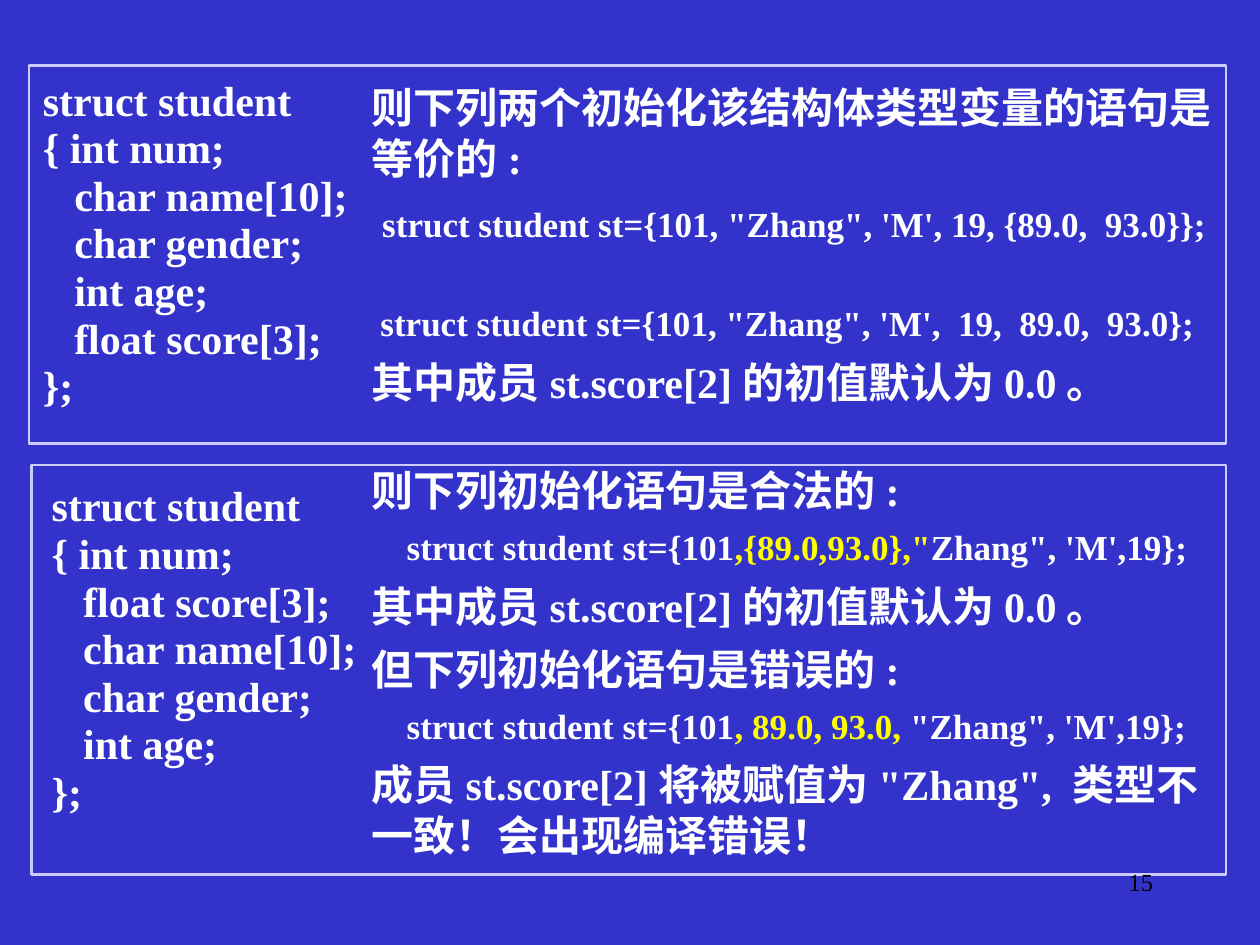
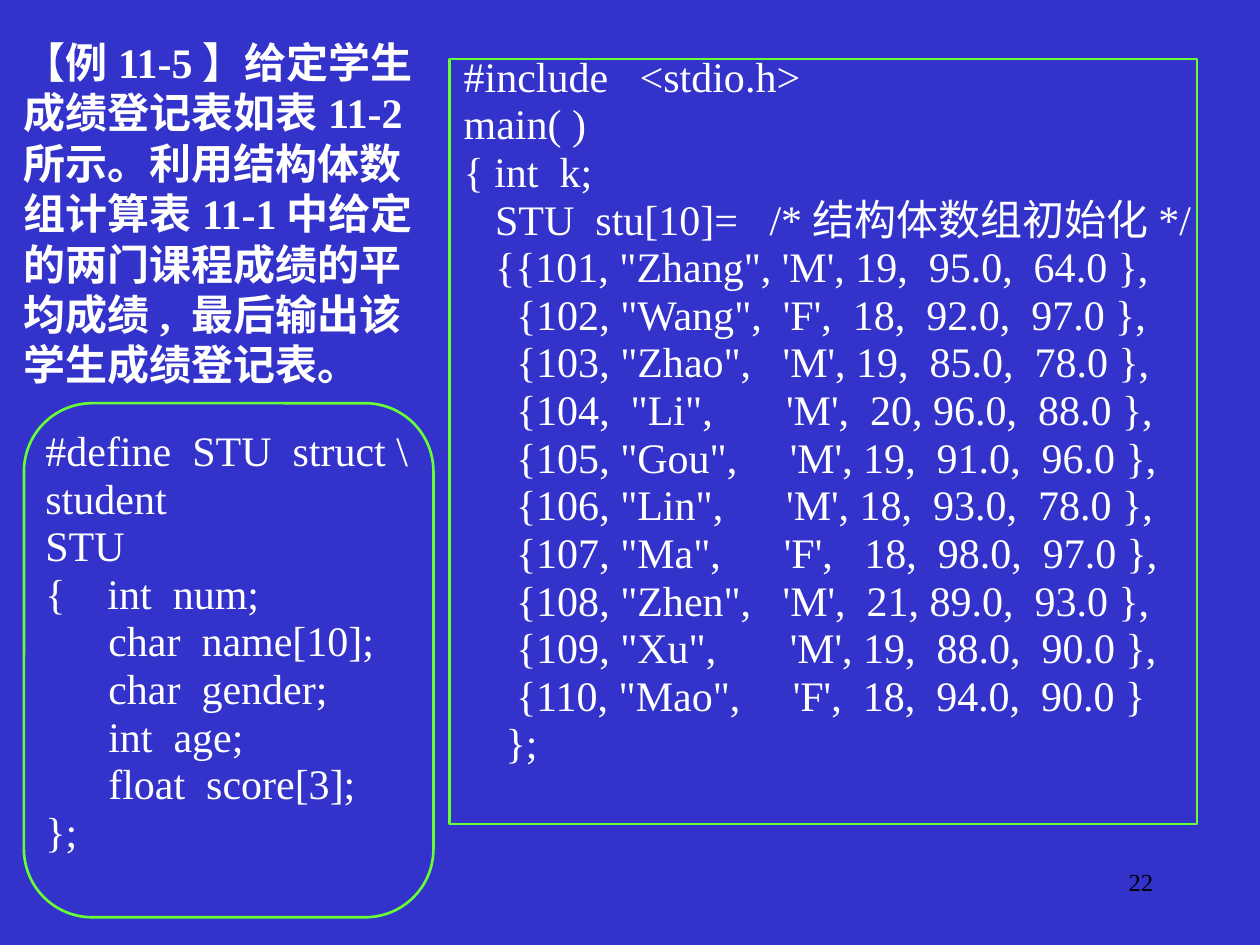
"""Builds two slides on initialising C structures and structure arrays."""
from dataclasses import dataclass

import pptx
import pptx.dml.color
import pptx.enum.shapes
import pptx.enum.text
import pptx.util

Inches = pptx.util.Inches
Pt = pptx.util.Pt
RGB = pptx.dml.color.RGBColor.from_string
MsoShape = pptx.enum.shapes.MSO_SHAPE
Align = pptx.enum.text.PP_ALIGN


@dataclass(frozen=True)
class Theme:
    font: str = "Times New Roman"
    background: str = "3333CC"
    text: str = "FFFFFF"
    highlight: str = "FFFF00"
    pale_frame: str = "CCCCFF"
    green_frame: str = "66FF33"
    number: str = "000000"
    body_size: int = 24
    statement_size: int = 20
    number_size: int = 14
    code_leading: int = 20
    frame_width: float = 1.5
    space_share: float = 0.3


class Deck:
    def __init__(self, theme):
        self.theme = theme
        self.presentation = pptx.Presentation()
        self.presentation.slide_width = Inches(10)
        self.presentation.slide_height = Inches(7.5)
        fill = self.presentation.slide_master.background.fill
        fill.solid()
        fill.fore_color.rgb = RGB(theme.background)
        self.slide = None

    def new_slide(self):
        blank = self.presentation.slide_layouts[6]
        self.slide = self.presentation.slides.add_slide(blank)

    def text_frame(self, place):
        box = self.slide.shapes.add_textbox(*map(Inches, place))
        box.text_frame.word_wrap = True
        return box.text_frame

    def run(self, paragraph, text, size, color=None, bold=False):
        run = paragraph.add_run()
        run.text = text
        run.font.name = self.theme.font
        run.font.size = Pt(size)
        run.font.bold = bold
        run.font.color.rgb = RGB(color or self.theme.text)

    def paragraphs(self, place, entries, bold=False, leading=None):
        frame = self.text_frame(place)
        frame.margin_left = frame.margin_right = Inches(0.04)
        frame.margin_top = frame.margin_bottom = 0
        for index, (runs, extra_space) in enumerate(entries):
            paragraph = frame.add_paragraph() if index else frame.paragraphs[0]
            size = runs[0][1]
            space = size * self.theme.space_share + extra_space
            paragraph.space_before = Pt(space if index else 0)
            if leading:
                paragraph.line_spacing = Pt(leading)
            for text, run_size, color in runs:
                self.run(paragraph, text, run_size, color, bold)

    def code(self, place, lines, bold=False):
        size = self.theme.body_size
        entries = [([(line, size, None)], 0) for line in lines]
        self.paragraphs(place, entries, bold, self.theme.code_leading)

    def prose(self, text):
        return [(text, self.theme.body_size, None)], 0

    def statement(self, before, marked="", after="", extra_space=0):
        parts = (before, None), (marked, self.theme.highlight), (after, None)
        size = self.theme.statement_size
        return [(text, size, color) for text, color in parts if text], extra_space

    def frame(self, place, color, shape=MsoShape.RECTANGLE):
        outline = self.slide.shapes.add_shape(shape, *map(Inches, place))
        outline.shadow.inherit = False
        outline.fill.background()
        outline.line.color.rgb = RGB(color)
        outline.line.width = Pt(self.theme.frame_width)

    def page_number(self, number):
        paragraph = self.text_frame((7.17, 6.83, 2.08, 0.5)).paragraphs[0]
        paragraph.alignment = Align.RIGHT
        self.run(paragraph, str(number), self.theme.number_size, self.theme.number)

    def save(self):
        self.presentation.save("out.pptx")


def struct_lines(members):
    first, *others = members
    return ["struct student", "{ " + first, *("   " + other for other in others), "};"]


def initialisation_slide(deck):
    theme = deck.theme
    number, name, gender, age, score = (
        "int num;", "char name[10];", "char gender;", "int age;", "float score[3];")
    default_value = deck.prose("其中成员st.score[2]的初值默认为0.0。")
    deck.new_slide()
    deck.code((0.3, 0.71, 2.83, 2.69),
              struct_lines([number, name, gender, age, score]), bold=True)
    nested_runs, _ = deck.statement(
        "struct student st={101, \"Zhang\", 'M', 19, {89.0,  93.0}};")
    deck.paragraphs((2.91, 0.65, 6.89, 2.3), [
        deck.prose("则下列两个初始化该结构体类型变量的语句是等价的:"),
        ([(" ", theme.body_size, None), *nested_runs], 0),
        deck.statement(" struct student st={101, \"Zhang\", 'M',  19,  89.0,  93.0};",
                       extra_space=26),
        default_value,
    ], bold=True)
    deck.code((0.37, 3.93, 2.58, 2.7),
              struct_lines([number, score, name, gender, age]), bold=True)
    opening = "    struct student st={101"
    deck.paragraphs((2.91, 3.69, 6.67, 3.26), [
        deck.prose("则下列初始化语句是合法的:"),
        deck.statement(opening, ",{89.0,93.0},\"", "Zhang\", 'M',19};"),
        default_value,
        deck.prose("但下列初始化语句是错误的:"),
        deck.statement(opening, ", 89.0, 93.0, ", "\"Zhang\", 'M',19};"),
        deck.prose("成员st.score[2]将被赋值为\"Zhang\", 类型不一致！会出现编译错误！"),
    ], bold=True)
    deck.frame((0.23, 0.52, 9.5, 3), theme.pale_frame)
    deck.frame((0.25, 3.69, 9.48, 3.25), theme.pale_frame)
    deck.page_number(15)


def array_slide(deck):
    theme = deck.theme
    deck.new_slide()
    deck.code((0.32, 3.49, 3.15, 3.49), [
        "#define  STU  struct \\",
        "student",
        "STU",
        "{    int  num;",
        "      char  name[10];",
        "      char  gender;",
        "      int  age;",
        "      float  score[3];",
        "};",
    ])
    deck.frame((0.19, 3.2, 3.25, 4.08), theme.green_frame, MsoShape.ROUNDED_RECTANGLE)
    deck.code((3.64, 0.52, 5.9, 5.91), [
        "#include   <stdio.h>",
        "main( )",
        "{ int  k;",
        "   STU  stu[10]=   /*结构体数组初始化*/",
        "   {{101, \"Zhang\", 'M', 19,  95.0,  64.0 },",
        "     {102, \"Wang\",  'F',  18,  92.0,  97.0 },",
        "     {103, \"Zhao\",   'M', 19,  85.0,  78.0 },",
        "     {104,  \"Li\",       'M',  20, 96.0,  88.0 },",
        "     {105, \"Gou\",     'M', 19,  91.0,  96.0 },",
        "     {106, \"Lin\",      'M', 18,  93.0,  78.0 },",
        "     {107, \"Ma\",      'F',   18,  98.0,  97.0 },",
        "     {108, \"Zhen\",   'M',  21, 89.0,  93.0 },",
        "     {109, \"Xu\",       'M', 19,  88.0,  90.0 },",
        "     {110, \"Mao\",     'F',  18,  94.0,  90.0 }",
        "    };",
    ])
    deck.frame((3.57, 0.47, 5.93, 6.07), theme.green_frame)
    deck.paragraphs((0.15, 0.29, 3.29, 2.83), [
        deck.prose("【例11-5】给定学生成绩登记表如表11-2所示。利用结构体数组计算表11-1中"
                   "给定的两门课程成绩的平均成绩, 最后输出该学生成绩登记表。"),
    ], bold=True)
    deck.page_number(22)


def main():
    deck = Deck(Theme())
    initialisation_slide(deck)
    array_slide(deck)
    deck.save()


if __name__ == "__main__":
    main()
